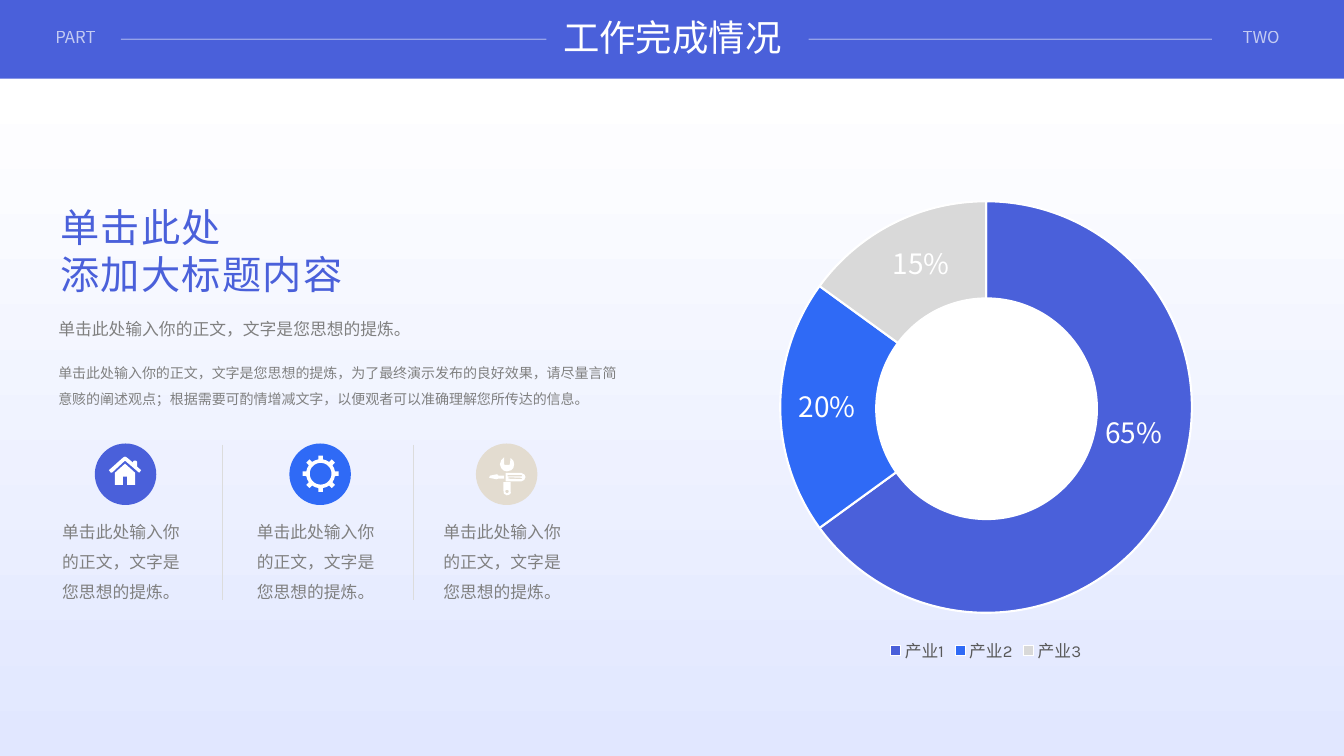
"""Build the work completion slide with a ring chart and three icon columns."""
from math import cos, pi, sin

from lxml.etree import SubElement
from pptx import Presentation
from pptx.chart.data import CategoryChartData
from pptx.dml.color import RGBColor
from pptx.enum.chart import XL_CHART_TYPE as Chart, XL_LEGEND_POSITION as Legend
from pptx.enum.shapes import MSO_CONNECTOR as Connector, MSO_SHAPE as Shape
from pptx.enum.text import MSO_ANCHOR as Anchor, PP_ALIGN as Align
from pptx.oxml import parse_xml
from pptx.oxml.ns import nsdecls, qn
from pptx.util import Inches, Pt

SC, JP = "Noto Sans CJK SC", "Noto Sans CJK JP"
INDIGO, BLUE, SAND, SILVER = "4A60DA", "2F6AF6", "E3DCD0", "D9D9D9"
WHITE, GREY = "FFFFFF", "808080"
WIDTH, HEIGHT, BAND = 13.33, 7.5, 0.78
SINGLE, LOOSE = 1.2, 1.79


def paint(fill, color, opacity=100):
    """Apply a solid colour, with optional opacity in percent."""
    fill.solid()
    fill.fore_color.rgb = RGBColor.from_string(color)
    if opacity < 100:
        srgb = fill._xPr.find(".//" + qn("a:srgbClr"))
        SubElement(srgb, qn("a:alpha")).set("val", str(opacity * 1000))


def write(holder, box, text, size, color, fonts=(SC,), align=Align.LEFT,
          leading=SINGLE, opacity=100):
    """Place a text holder and format its single paragraph."""
    holder.left, holder.top, holder.width, holder.height = map(Inches, box)
    frame = holder.text_frame
    frame.word_wrap = True
    frame.vertical_anchor = Anchor.TOP
    paragraph = frame.paragraphs[0]
    paragraph.text = text
    paragraph.alignment = align
    paragraph.line_spacing = Pt(round(size * leading, 1))
    for run, font in zip(paragraph.runs, fonts):
        run.font.size = Pt(size)
        run.font.name = font
        paint(run.font.fill, color, opacity)
        SubElement(run._r.get_or_add_rPr(), qn("a:ea")).set("typeface", font)
    return paragraph


deck = Presentation()
deck.slide_width, deck.slide_height = Inches(WIDTH), Inches(HEIGHT)
slide = deck.slides.add_slide(deck.slide_layouts[5])
shapes = slide.shapes

backdrop = shapes.add_shape(Shape.RECTANGLE, 0, Inches(BAND), Inches(WIDTH), Inches(HEIGHT - BAND))
backdrop.fill.gradient()
backdrop.fill.gradient_angle = 270
for stop, color in zip(backdrop.fill.gradient_stops, (WHITE, "E1E7FF")):
    stop.color.rgb = RGBColor.from_string(color)
header = shapes.add_shape(Shape.RECTANGLE, 0, 0, Inches(WIDTH), Inches(BAND))
paint(header.fill, INDIGO)
for panel in (backdrop, header):
    panel.line.fill.background()
    panel.shadow.inherit = False

title = shapes.title
title.element.getparent().append(title.element)
write(title, (0.01, 0.1, 13.32, 0.54), "工作完成情况", 26, WHITE, (JP,), Align.CENTER)

for box, label, align in (((0.45, 0.22, 3.52, 0.3), "PART", Align.LEFT),
                          ((9.97, 0.22, 2.82, 0.3), "TWO", Align.RIGHT)):
    write(shapes.add_textbox(0, 0, 0, 0), box, label, 12, WHITE, (JP,), align, opacity=68)

rules = [(1.2, 0.39, 5.42, 0.39, WHITE, 1, 42), (8.02, 0.39, 12.02, 0.39, WHITE, 1, 42)]
rules += [(x, 4.41, x, 5.95, "DCDCDC", 0.5, 100) for x in (2.21, 4.1)]
for x1, y1, x2, y2, color, weight, opacity in rules:
    rule = shapes.add_connector(Connector.STRAIGHT, *map(Inches, (x1, y1, x2, y2)))
    rule.line.width = Pt(weight)
    paint(rule.line.fill, color, opacity)
    SubElement(rule.element.spPr, qn("a:effectLst"))

heading = write(shapes.add_textbox(0, 0, 0, 0), (0.5, 1.97, 3.54, 1.04),
                "单击此处\v添加大标题内容", 28, INDIGO, (SC, JP))
for run in heading.runs:
    run._r.get_or_add_rPr().set("spc", "100")

summary = "单击此处输入你的正文，文字是您思想的提炼。"
detail = ("单击此处输入你的正文，文字是您思想的提炼，为了最终演示发布的良好效果，请尽量言简意赅的阐述观点；"
          "根据需要可酌情增减文字，以便观者可以准确理解您所传达的信息。")
write(shapes.add_textbox(0, 0, 0, 0), (0.48, 3.01, 5.66, 0.37), summary, 12, GREY, leading=LOOSE)
write(shapes.add_textbox(0, 0, 0, 0), (0.48, 3.49, 5.73, 0.58), detail, 10, GREY, leading=LOOSE)

house = [
    [(260, 280), (180, 280), (180, 200), (140, 200), (140, 280), (60, 280), (60, 160),
     (160, 70), (260, 160)],
    [(240, 60), (240, 50), (250, 40), (270, 40), (280, 50), (280, 100), (320, 135), (300, 160),
     (160, 40), (30, 160), (20, 160), (0, 135), (140, 10), (160, 0), (180, 10)],
]
tooth = [(144, -0.16), (180, -0.12), (180, 0.12), (144, 0.16), (144, pi / 8)]
rim = [(r, k * pi / 4 + turn) for k in range(8) for r, turn in tooth]
bore = [(108, k * pi / 16) for k in range(32)]
gear = [[(180 + r * cos(a), 180 + r * sin(a)) for r, a in ring] for ring in (rim, bore)]
tools = [
    [(210, 230), (320, 120), (330, 90), (320, 60), (295, 50), (260, 60), (150, 170)],
    [(200, 182), (300, 90), (310, 100), (210, 192)],
    [(180, 170), (280, 70), (290, 80), (190, 180)],
    [(80, 30), (120, 30), (150, 50), (170, 80), (172, 110), (150, 150), (120, 168), (85, 168),
     (50, 150), (30, 110), (30, 70), (80, 120), (90, 120), (120, 90), (120, 80)],
    [(200, 250), (250, 200), (310, 260), (328, 275), (328, 300), (315, 320), (285, 328),
     (260, 310)],
    [(290 + 17 * cos(k * pi / 6), 290 + 17 * sin(k * pi / 6)) for k in range(12)],
    [(120, 240), (160, 200), (180, 220), (140, 260), (130, 280), (70, 320), (60, 300),
     (100, 240)],
]

columns = [(0.94, INDIGO, house, 0.14, 0.13, 0), (2.87, BLUE, gear, 0.13, 0.12, 0),
           (4.72, SAND, tools, 0.13, 0.14, 45)]
for left, color, outlines, dx, dy, turn in columns:
    disc = shapes.add_shape(Shape.OVAL, *map(Inches, (left, 4.4, 0.61, 0.61)))
    paint(disc.fill, color)
    pen = shapes.build_freeform(*outlines[0][0], scale=914.4)
    pen.add_line_segments(outlines[0][1:])
    for outline in outlines[1:]:
        pen.move_to(*outline[0])
        pen.add_line_segments(outline[1:])
    icon = pen.convert_to_shape(Inches(left + dx), Inches(4.4 + dy))
    icon.rotation = turn
    paint(icon.fill, WHITE)
    for part in (disc, icon):
        part.line.fill.background()
        part.shadow.inherit = False
    write(shapes.add_textbox(0, 0, 0, 0), (left - 0.5, 5.03, 1.52, 1.01), summary, 12, GREY,
          align=Align.CENTER, leading=LOOSE)

data = CategoryChartData()
data.categories = ["产业1", "产业2", "产业3"]
data.add_series("Series 1", (65, 20, 15))
pie = shapes.add_chart(Chart.PIE, *map(Inches, (6.59, 1.84, 6.38, 4.78)), data).chart
pie.has_title = False
pie.font.size, pie.font.name = Pt(12), "Karla"
pie.has_legend = True
pie.legend.position = Legend.BOTTOM
pie.legend.include_in_layout = False
pie.legend.font.size, pie.legend.font.name = Pt(12), "Karla"
paint(pie.legend.font.fill, "595959")
pie.plots[0].vary_by_categories = True
for index, color in enumerate((INDIGO, BLUE, SILVER)):
    slice_format = pie.plots[0].series[0].points[index].format
    paint(slice_format.fill, color)
    paint(slice_format.line.fill, WHITE)
    slice_format.line.width = Pt(1.5)
plot_area = pie.element.find(".//" + qn("c:plotArea"))
for old_layout in plot_area.findall(qn("c:layout")):
    plot_area.remove(old_layout)
plot_area.insert(0, parse_xml(
    f'<c:layout {nsdecls("c")}><c:manualLayout><c:layoutTarget val="inner"/>'
    '<c:xMode val="edge"/><c:yMode val="edge"/><c:x val="0.18"/><c:y val="0.03"/>'
    '<c:w val="0.64"/><c:h val="0.86"/></c:manualLayout></c:layout>'))

hole = shapes.add_shape(Shape.OVAL, *map(Inches, (8.68, 2.95, 2.21, 2.21)))
paint(hole.fill, WHITE)
hole.line.fill.background()
hole.shadow.inherit = False
for left, top, share in ((10.79, 4.07, "65%"), (8.68, 2.4, "15%"), (7.75, 3.81, "20%")):
    write(shapes.add_textbox(0, 0, 0, 0), (left, top, 0.91, 0.49), share, 20, WHITE,
          align=Align.CENTER)

deck.save("out.pptx")
